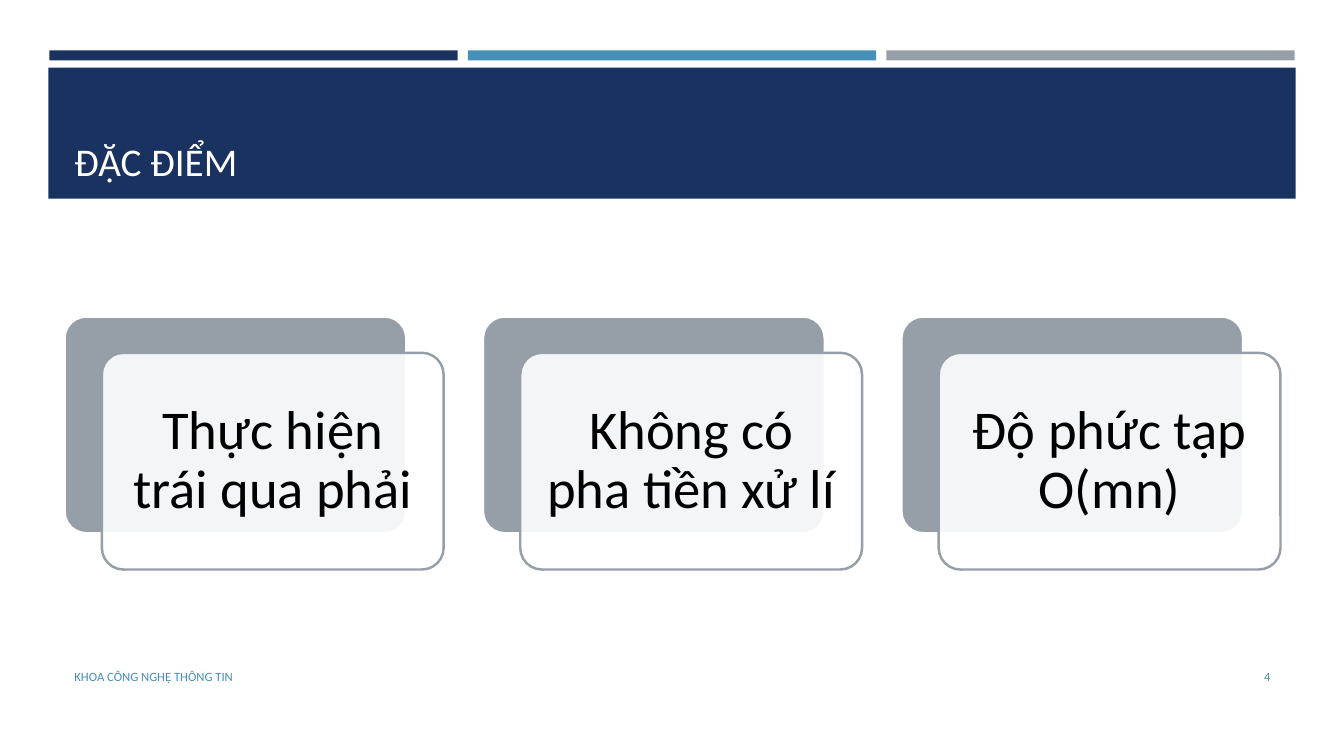
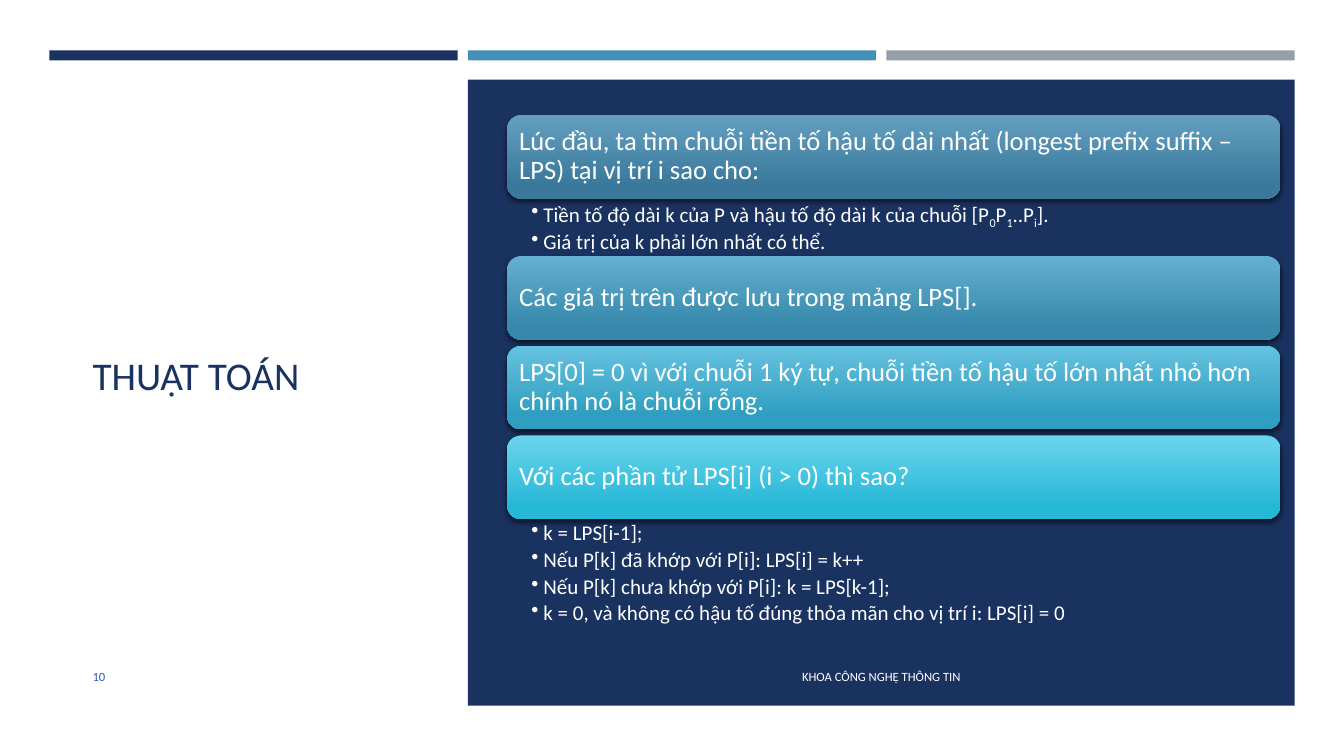
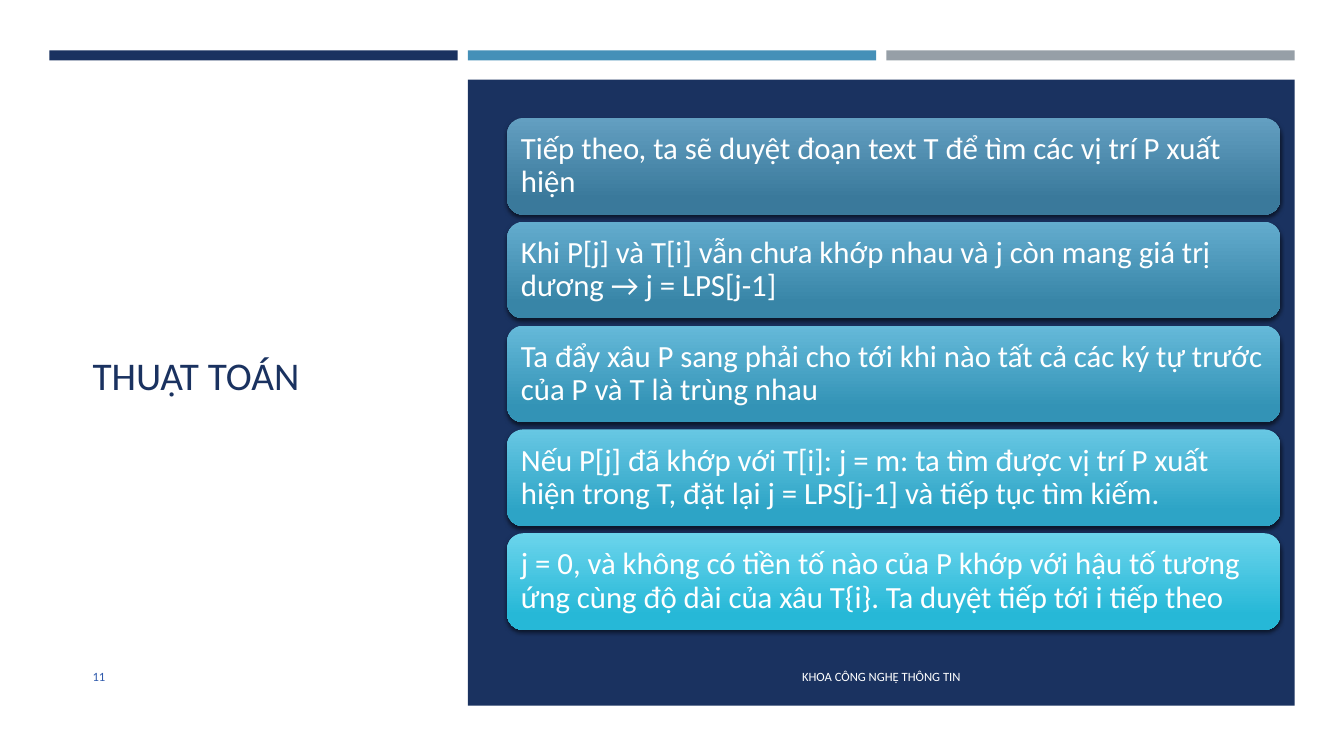
"""Build three slides on the features and steps of a string matching algorithm."""
from lxml import etree
from pptx import Presentation
from pptx.dml.color import RGBColor
from pptx.enum.shapes import MSO_SHAPE
from pptx.enum.text import MSO_ANCHOR, PP_ALIGN
from pptx.oxml.ns import qn
from pptx.util import Inches, Pt

RECT, ROUND = MSO_SHAPE.RECTANGLE, MSO_SHAPE.ROUNDED_RECTANGLE
TOP, MIDDLE, BOTTOM = MSO_ANCHOR.TOP, MSO_ANCHOR.MIDDLE, MSO_ANCHOR.BOTTOM
LEFT, CENTER, RIGHT = PP_ALIGN.LEFT, PP_ALIGN.CENTER, PP_ALIGN.RIGHT

FONT = "Calibri"
NAVY, BLUE, GRAY, PAGE_BLUE = "1A3260", "4590B8", "969FA7", "2F5AAC"
WHITE, TITLE_WHITE, BLACK = "FFFFFF", "FFFEFF", "000000"
FOOTER = "KHOA CÔNG NGHỆ THÔNG TIN"
FOOTER_TOP, FOOTER_HEIGHT = 6.51, 0.4
STEP_LEFT, STEP_WIDTH = 5.03, 7.67

FEATURES = ["Thực hiện trái qua phải", "Không có pha tiền xử lí", "Độ phức tạp O(mn)"]

PREFIX_STEPS = [
    ("Lúc đầu, ta tìm chuỗi tiền tố hậu tố dài nhất (longest prefix suffix – LPS) "
     "tại vị trí i sao cho:", "639FC1", "3A799B", 0.57,
     ["Tiền tố độ dài k của P và hậu tố độ dài k của chuỗi [P~0~P~1~..P~i~].",
      "Giá trị của k phải lớn nhất có thể."]),
    ("Các giá trị trên được lưu trong mảng LPS[].", "63B0D2", "3789AB", 0.06, []),
    ("LPS[0] = 0 vì với chuỗi 1 ký tự, chuỗi tiền tố hậu tố lớn nhất nhỏ hơn "
     "chính nó là chuỗi rỗng.", "66C2E0", "2F9EC0", 0.06, []),
    ("Với các phần tử LPS[i] (i > 0) thì sao?", "6BD4EC", "26B8D7", 1.14,
     ["k = LPS[i-1];",
      "Nếu P[k] đã khớp với P[i]: LPS[i] = k++",
      "Nếu P[k] chưa khớp với P[i]: k = LPS[k-1];",
      "k = 0, và không có hậu tố đúng thỏa mãn cho vị trí i: LPS[i] = 0"]),
]

SEARCH_STEPS = [
    ("Tiếp theo, ta sẽ duyệt đoạn text T để tìm các vị trí P xuất hiện",
     "639FC1", "3A799B", 0.07, []),
    ("Khi P[j] và T[i] vẫn chưa khớp nhau và j còn mang giá trị dương → j = LPS[j-1]",
     "63ACCE", "3885A7", 0.07, []),
    ("Ta đẩy xâu P sang phải cho tới khi nào tất cả các ký tự trước của P và T "
     "là trùng nhau", "65B9D9", "3393B6", 0.07, []),
    ("Nếu P[j] đã khớp với T[i]: j = m: ta tìm được vị trí P xuất hiện trong T, "
     "đặt lại j = LPS[j-1] và tiếp tục tìm kiếm.", "67C7E3", "2DA4C6", 0.07, []),
    ("j = 0, và không có tiền tố nào của P khớp với hậu tố tương ứng cùng độ dài "
     "của xâu T{i}. Ta duyệt tiếp tới i tiếp theo", "6BD4EC", "26B8D7", 0.07, []),
]


def color(value):
    """Turn a hex string into a colour."""
    return RGBColor.from_string(value)


def apply(target, **values):
    """Set each named value on the target."""
    for name, value in values.items():
        setattr(target, name, value)


def add_block(slide, box, fill, kind=RECT, outline=None):
    """Add a flat preset shape with an optional outline."""
    block = slide.shapes.add_shape(kind, *map(Inches, box))
    block.shadow.inherit = False
    block.fill.solid()
    block.fill.fore_color.rgb = color(fill)
    if outline:
        block.line.color.rgb = color(outline)
        block.line.width = Pt(1.75)
    else:
        block.line.fill.background()
    return block


def write(holder, lines, size, ink, align=LEFT, anchor=MIDDLE, spacing=None,
          insets=(0.1, 0.05, 0.1, 0.05)):
    """Fill a shape with paragraphs; text between tildes is subscript."""
    frame = holder.text_frame
    left, top, right, bottom = map(Inches, insets)
    apply(frame, word_wrap=True, vertical_anchor=anchor, margin_left=left,
          margin_top=top, margin_right=right, margin_bottom=bottom)
    for number, line in enumerate(lines):
        paragraph = frame.paragraphs[0] if number == 0 else frame.add_paragraph()
        apply(paragraph, alignment=align, line_spacing=spacing)
        for part, words in enumerate(line.split("~")):
            run = paragraph.add_run()
            run.text = words
            apply(run.font, name=FONT, size=Pt(size))
            run.font.color.rgb = color(ink)
            if part % 2:
                run.font._element.set("baseline", "-25000")
    return frame


def add_label(slide, box, words, size, ink, **layout):
    """Add a text box with a single line."""
    write(slide.shapes.add_textbox(*map(Inches, box)), [words], size, ink, **layout)


def add_bullets(slide, box, lines):
    """Add the bulleted details below a step."""
    details = slide.shapes.add_textbox(*map(Inches, box))
    frame = write(details, lines, 15, WHITE, anchor=TOP, spacing=0.9,
                  insets=(0.24, 0.03, 0.15, 0.03))
    for paragraph in frame.paragraphs:
        apply(paragraph, level=1, space_after=Pt(3))
        properties = paragraph._p.get_or_add_pPr()
        properties.set("marL", str(Inches(0.12)))
        properties.set("indent", str(-Inches(0.12)))
        etree.SubElement(properties, qn("a:buChar"), char="•")


def add_alpha(parent, percent):
    """Set the opacity of the first colour below the parent."""
    tone = next(parent.iter(qn("a:srgbClr")))
    etree.SubElement(tone, qn("a:alpha"), val=str(percent * 1000))


def add_shadow(block):
    """Give a shape a soft shadow straight below it."""
    effects = block._element.spPr.find(qn("a:effectLst"))
    shadow = etree.SubElement(effects, qn("a:outerShdw"), blurRad=str(Pt(3)),
                              dist=str(Pt(2)), dir="5400000", rotWithShape="0")
    etree.SubElement(shadow, qn("a:srgbClr"), val=BLACK)
    add_alpha(shadow, 55)


def add_feature(slide, left, words):
    """Add a feature card in front of its gray backing."""
    add_block(slide, (left, 3.14, 3.39, 2.15), GRAY, ROUND, WHITE).adjustments[0] = 0.1
    card = add_block(slide, (left + 0.37, 3.5, 3.39, 2.15), WHITE, ROUND, GRAY)
    card.adjustments[0] = 0.1
    add_alpha(card._element.spPr, 90)
    write(card, [words], 39, BLACK, align=CENTER, spacing=0.9, insets=[0.16] * 4)


def add_steps(slide, steps, top, height, size, inset):
    """Stack gradient steps, each followed by its details or a gap."""
    for words, light, dark, below, details in steps:
        step = add_block(slide, (STEP_LEFT, top, STEP_WIDTH, height), light, ROUND)
        step.fill.gradient()
        step.fill.gradient_angle = 270
        for stop, tone, position in zip(step.fill.gradient_stops, (light, dark), (0, 0.84)):
            stop.color.rgb = color(tone)
            stop.position = position
        add_shadow(step)
        write(step, [words], size, WHITE, spacing=0.9, insets=[inset] * 4)
        top += height
        if details:
            add_bullets(slide, (STEP_LEFT, top, STEP_WIDTH, below), details)
        top += below


def add_slide(deck):
    """Add a blank slide with the three bars on top."""
    slide = deck.slides.add_slide(deck.slide_layouts[6])
    for column, tone in enumerate((NAVY, BLUE, GRAY)):
        add_block(slide, (0.49 + 4.15 * column, 0.5, 4.05, 0.1), tone)
    return slide


def add_banner_slide(deck, title, page):
    """Add a slide with its title in a banner."""
    slide = add_slide(deck)
    add_block(slide, (0.48, 0.67, 12.37, 1.3), NAVY)
    add_label(slide, (0.64, 0.77, 12.06, 1.11), title, 28, TITLE_WHITE, anchor=BOTTOM)
    add_label(slide, (0.64, FOOTER_TOP, 7.56, FOOTER_HEIGHT), FOOTER, 9, BLUE)
    add_label(slide, (11.55, FOOTER_TOP, 1.15, FOOTER_HEIGHT), page, 9, BLUE, align=RIGHT)
    return slide


def add_panel_slide(deck, title, page):
    """Add a slide with its title beside a navy panel."""
    slide = add_slide(deck)
    add_block(slide, (4.64, 0.79, 8.2, 6.21), NAVY)
    add_label(slide, (0.82, 1.14, 3.34, 5.15), title, 28, NAVY)
    add_label(slide, (0.82, FOOTER_TOP, 0.74, FOOTER_HEIGHT), page, 9, PAGE_BLUE)
    add_label(slide, (4.94, FOOTER_TOP, 7.6, FOOTER_HEIGHT), FOOTER, 9, WHITE, align=CENTER)
    return slide


def main():
    """Build and save the deck."""
    deck = Presentation()
    apply(deck, slide_width=Inches(13.33), slide_height=Inches(7.5))
    features = add_banner_slide(deck, "ĐẶC ĐIỂM", "4")
    for column, words in enumerate(FEATURES):
        add_feature(features, 0.64 + 4.15 * column, words)
    prefix = add_panel_slide(deck, "THUẬT TOÁN", "10")
    add_steps(prefix, PREFIX_STEPS, top=1.14, height=0.83, size=19, inset=0.08)
    search = add_panel_slide(deck, "THUẬT TOÁN", "11")
    add_steps(search, SEARCH_STEPS, top=1.17, height=0.96, size=22, inset=0.09)
    deck.save("out.pptx")


main()
